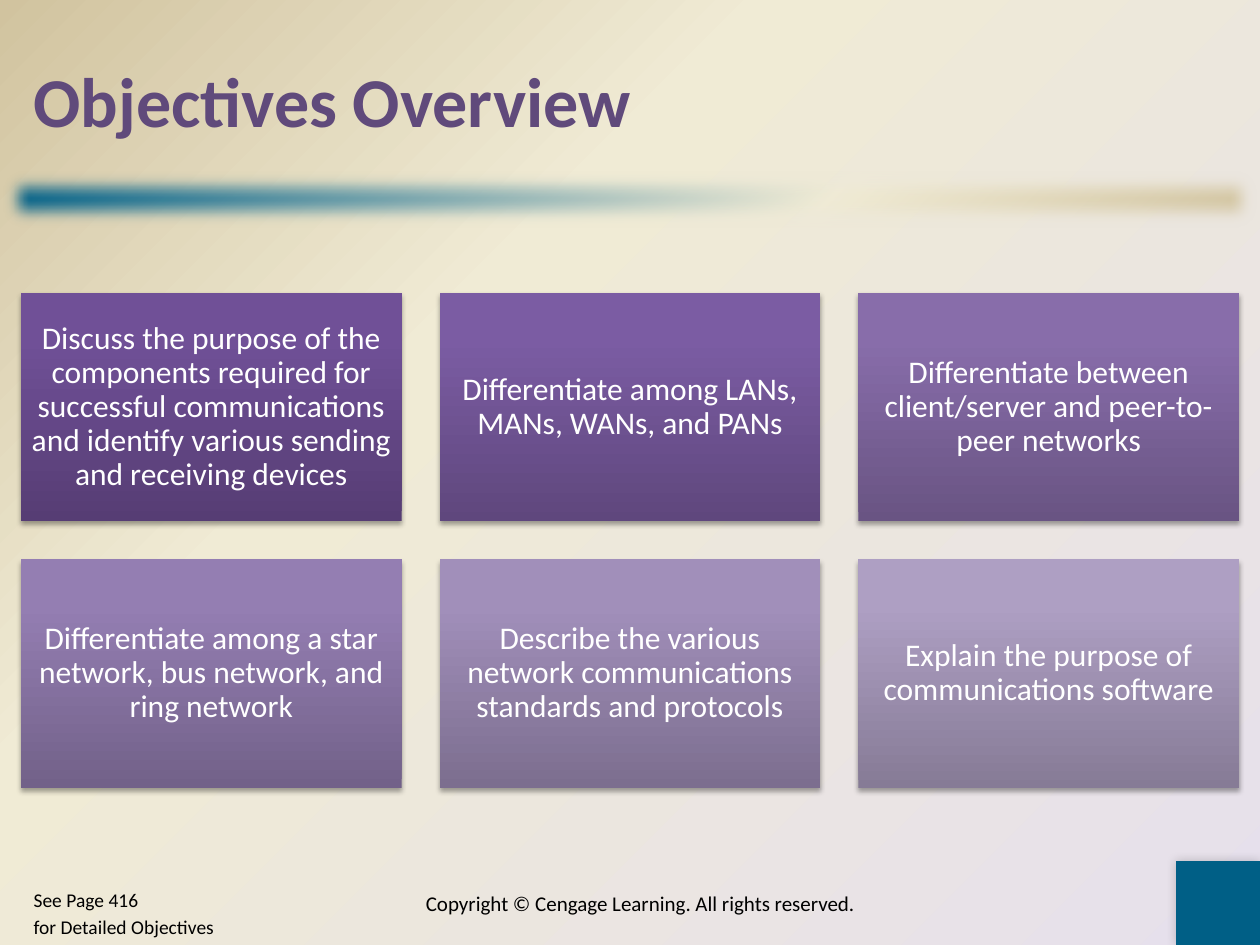
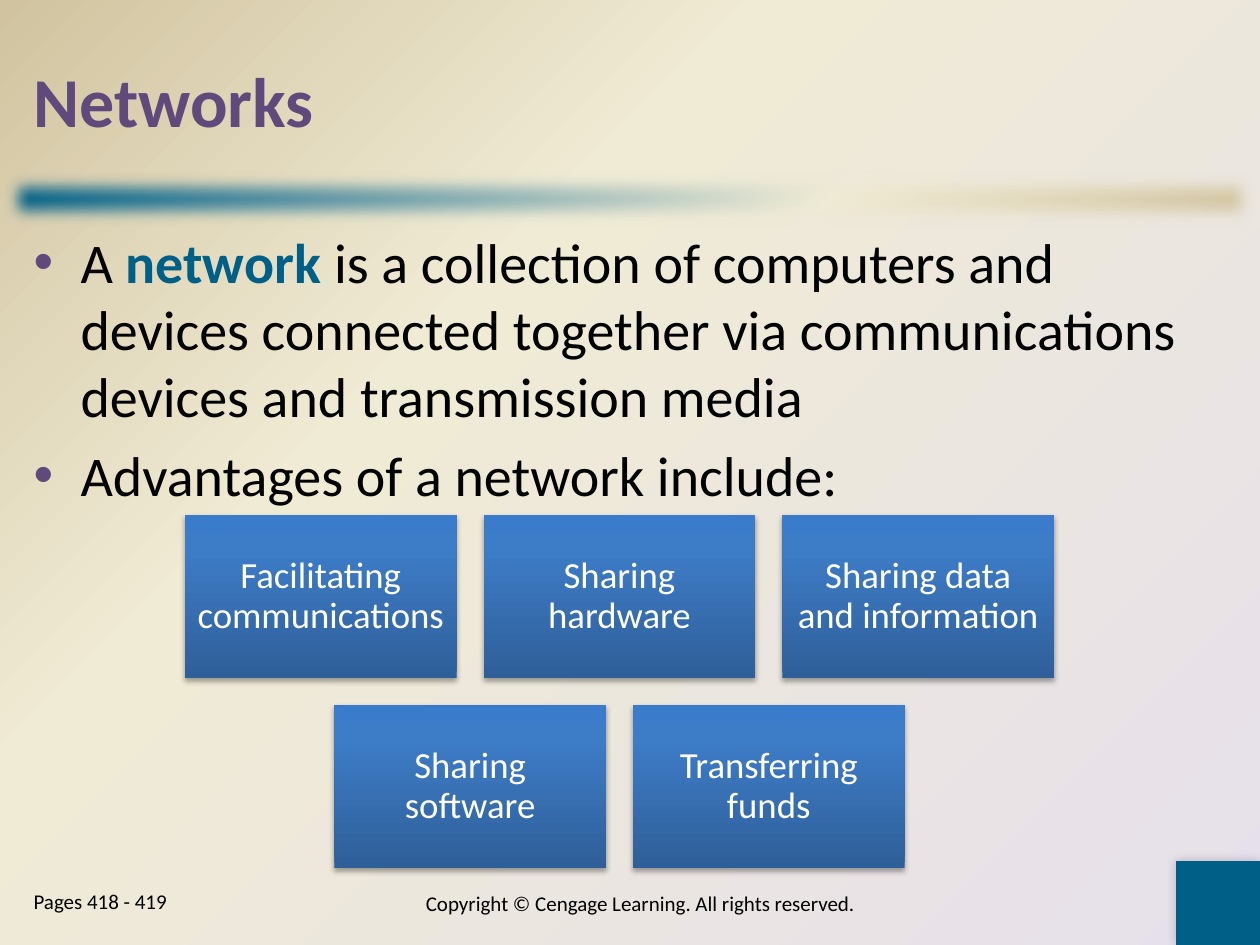
import pptx
import pptx.dml.color
import pptx.enum.shapes
import pptx.enum.text
import pptx.oxml
import pptx.oxml.ns
import pptx.util

PX = 914400 / 126
FONT = "Calibri"
PURPLE, TEAL, CREAM, TAN, LILAC = "604A7B", "005F86", "F0EBD5", "D1C39F", "E6E0EC"
BLACK, WHITE = "000000", "FFFFFF"
MIDDLE = pptx.enum.text.MSO_ANCHOR.MIDDLE
CENTER = pptx.enum.text.PP_ALIGN.CENTER
LEFT = pptx.enum.text.PP_ALIGN.LEFT

TITLE_BOX = (21, 21, 1218, 158)
BODY_BOX = (21, 221, 1218, 640)
PAGES_BOX = (21, 882, 231, 63)
COPYRIGHT_BOX = (378, 872, 525, 63)
BAND_BOX = (0, 168, 1260, 63)
CORNER_BOX = (1176, 861, 84, 84)

OBJECTIVES = [
    ("Discuss the purpose of the components required for successful communications "
     "and identify various sending and receiving devices", ("563D74", "705097", "704F99")),
    ("Differentiate among LANs, MANs, WANs, and PANs", ("5F477D", "7B5CA3", "7C5BA5")),
    ("Differentiate between client/server and peer-to-peer networks",
     ("695483", "886DAA", "886DAC")),
    ("Differentiate among a star network, bus network, and ring network",
     ("726189", "947EB2", "957EB4")),
    ("Describe the various network communications standards and protocols",
     ("7C6E8F", "A18FBA", "A18FBC")),
    ("Explain the purpose of communications software", ("867B96", "AE9FC3", "AE9FC4")),
]
BLUES = ("2F5F99", "3D7CC7", "3A7CCB")
ADVANTAGES = [(advantage, BLUES) for advantage in (
    "Facilitating communications", "Sharing hardware", "Sharing data and information",
    "Sharing software", "Transferring funds")]


def px(length):
    return pptx.util.Emu(round(length * PX))


def colour(value):
    return pptx.dml.color.RGBColor.from_string(value)


def drawing(tag, attributes="", inner=""):
    namespaces = pptx.oxml.ns.nsdecls("a")
    return pptx.oxml.parse_xml(f"<a:{tag} {namespaces} {attributes}>{inner}</a:{tag}>")


def gradient(colours, middle, direction):
    stops = "".join(
        f'<a:gs pos="{position * 1000}"><a:srgbClr val="{value}"/></a:gs>'
        for position, value in zip((0, middle, 100), colours))
    return drawing("gradFill", 'rotWithShape="1"', f"<a:gsLst>{stops}</a:gsLst>{direction}")


def linear(colours, middle, degrees):
    return gradient(colours, middle, f'<a:lin ang="{degrees * 60000}" scaled="0"/>')


def place(part, box):
    part.left, part.top, part.width, part.height = map(px, box)


def add_rectangle(slide, box, effect, fill=None):
    rectangle = slide.shapes.add_shape(
        pptx.enum.shapes.MSO_SHAPE.RECTANGLE, *map(px, box))
    rectangle.line.fill.background()
    rectangle.shadow.inherit = False
    properties = rectangle.element.spPr
    properties.find(pptx.oxml.ns.qn("a:effectLst")).append(effect)
    if fill is not None:
        properties.find(pptx.oxml.ns.qn("a:prstGeom")).addnext(fill)
    return rectangle


def shadow(alpha, blur, distance, degrees):
    return drawing(
        "outerShdw",
        f'blurRad="{round(blur * 12700)}" dist="{round(distance * 12700)}" '
        f'dir="{degrees * 60000}" rotWithShape="0"',
        f'<a:srgbClr val="{BLACK}"><a:alpha val="{alpha * 1000}"/></a:srgbClr>')


def add_run(paragraph, text, size, value, bold=False):
    run = paragraph.add_run()
    run.text = text
    run.font.name = FONT
    run.font.size = pptx.util.Pt(size)
    run.font.bold = bold
    run.font.color.rgb = colour(value)


def style_master(master, slide):
    common = master.element.cSld
    common.remove(common.find(pptx.oxml.ns.qn("p:bg")))
    background = pptx.oxml.parse_xml(
        f'<p:bg {pptx.oxml.ns.nsdecls("p", "a")}><p:bgPr><a:effectLst/></p:bgPr></p:bg>')
    background[0].insert(0, gradient(
        (LILAC, CREAM, TAN), 65,
        '<a:path path="circle"><a:fillToRect l="100000" t="100000"/></a:path>'))
    common.insert(0, background)

    band = add_rectangle(slide, BAND_BOX, drawing("softEdge", 'rad="127000"'),
                         linear((TEAL, CREAM, TAN), 65, 45))
    corner = add_rectangle(slide, CORNER_BOX, shadow(20, 6, 0, 225))
    corner.fill.solid()
    corner.fill.fore_color.rgb = colour(TEAL)
    for index, decoration in enumerate((band, corner), 2):
        common.spTree.insert(index, decoration.element)


def fill_title(slide, text):
    title = slide.shapes.title
    place(title, TITLE_BOX)
    title.text_frame.vertical_anchor = MIDDLE
    title.text_frame.auto_size = pptx.enum.text.MSO_AUTO_SIZE.NONE
    paragraph = title.text_frame.paragraphs[0]
    paragraph.alignment = LEFT
    add_run(paragraph, text, 40, PURPLE, True)


def fill_list(placeholder, box, items, size, bulleted):
    place(placeholder, box)
    frame = placeholder.text_frame
    frame.auto_size = pptx.enum.text.MSO_AUTO_SIZE.NONE
    for index, runs in enumerate(items):
        paragraph = frame.add_paragraph() if index else frame.paragraphs[0]
        properties = paragraph._p.get_or_add_pPr()
        properties.set("marL", str(px(47)))
        properties.set("indent", str(px(-47)))
        if bulleted:
            properties.append(drawing("buClr", inner=f'<a:srgbClr val="{PURPLE}"/>'))
            properties.append(drawing("buFont", 'typeface="Arial"'))
            properties.append(drawing("buChar", 'char="•"'))
        else:
            properties.append(drawing("buNone"))
        paragraph.space_before = pptx.util.Pt(round(size * 0.2, 1) if index else 0)
        for text, value, bold in runs:
            add_run(paragraph, text, size, value, bold)


def add_footer(slide, pages_placeholder, page_lines, size):
    copyright_line = slide.shapes.add_textbox(*map(px, COPYRIGHT_BOX))
    frame = copyright_line.text_frame
    frame.word_wrap = True
    frame.vertical_anchor = MIDDLE
    frame.paragraphs[0].alignment = CENTER
    add_run(frame.paragraphs[0], "Copyright © Cengage Learning. All rights reserved.",
            12, BLACK)
    fill_list(pages_placeholder, PAGES_BOX,
              [[(line, BLACK, False)] for line in page_lines], size, False)


def add_tiles(slide, box, tiles, gap, inset, size, columns=3):
    left, top, width, height = box
    rows = -(-len(tiles) // columns)
    tile_width = (width - gap * (columns - 1)) / columns
    tile_height = (height - gap * (rows - 1)) / rows
    for index, (text, colours) in enumerate(tiles):
        row, column = divmod(index, columns)
        in_row = min(columns, len(tiles) - row * columns)
        row_left = left + (columns - in_row) * (tile_width + gap) / 2
        tile = add_rectangle(
            slide,
            (row_left + column * (tile_width + gap), top + row * (tile_height + gap),
             tile_width, tile_height),
            shadow(35, 3.1, 1.8, 90), linear(colours, 80, 270))
        frame = tile.text_frame
        frame.word_wrap = True
        frame.vertical_anchor = MIDDLE
        frame.margin_left = frame.margin_right = px(inset)
        frame.margin_top = frame.margin_bottom = px(inset)
        paragraph = frame.paragraphs[0]
        paragraph.alignment = CENTER
        paragraph.line_spacing = 0.9
        add_run(paragraph, text, size, WHITE)


def build_objectives(slide):
    fill_title(slide, "Objectives Overview")
    add_tiles(slide, (21, 293, 1218, 495), OBJECTIVES, 38, 9, 18)
    add_footer(slide, slide.placeholders[1],
               ["See Page 416", "for Detailed Objectives"], 11.1)


def build_networks(slide):
    fill_title(slide, "Networks")
    fill_list(slide.placeholders[1], BODY_BOX, [
        [("A ", BLACK, False), ("network ", TEAL, True),
         ("is a collection of computers and devices connected together via "
          "communications devices and transmission media", BLACK, False)],
        [("Advantages of a network include:", BLACK, False)],
    ], 32, True)
    add_footer(slide, slide.placeholders[2], ["Pages 418 - 419"], 12)
    add_tiles(slide, (185, 515, 869, 353), ADVANTAGES, 27, 12, 21)


def main():
    deck = pptx.Presentation()
    deck.slide_width, deck.slide_height = px(1260), px(945)
    objectives = deck.slides.add_slide(deck.slide_layouts.get_by_name("Title and Content"))
    style_master(deck.slide_master, objectives)
    build_objectives(objectives)
    build_networks(deck.slides.add_slide(deck.slide_layouts.get_by_name("Two Content")))
    deck.save("out.pptx")


if __name__ == "__main__":
    main()
